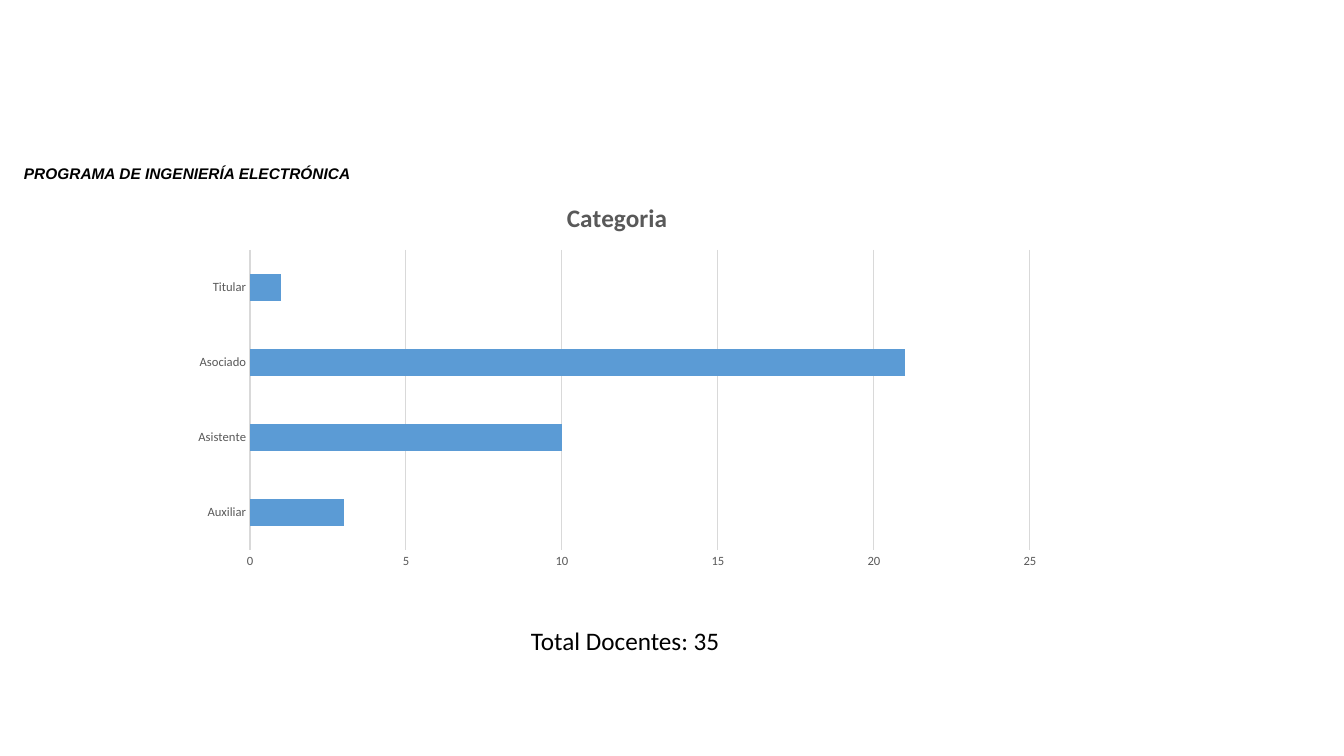
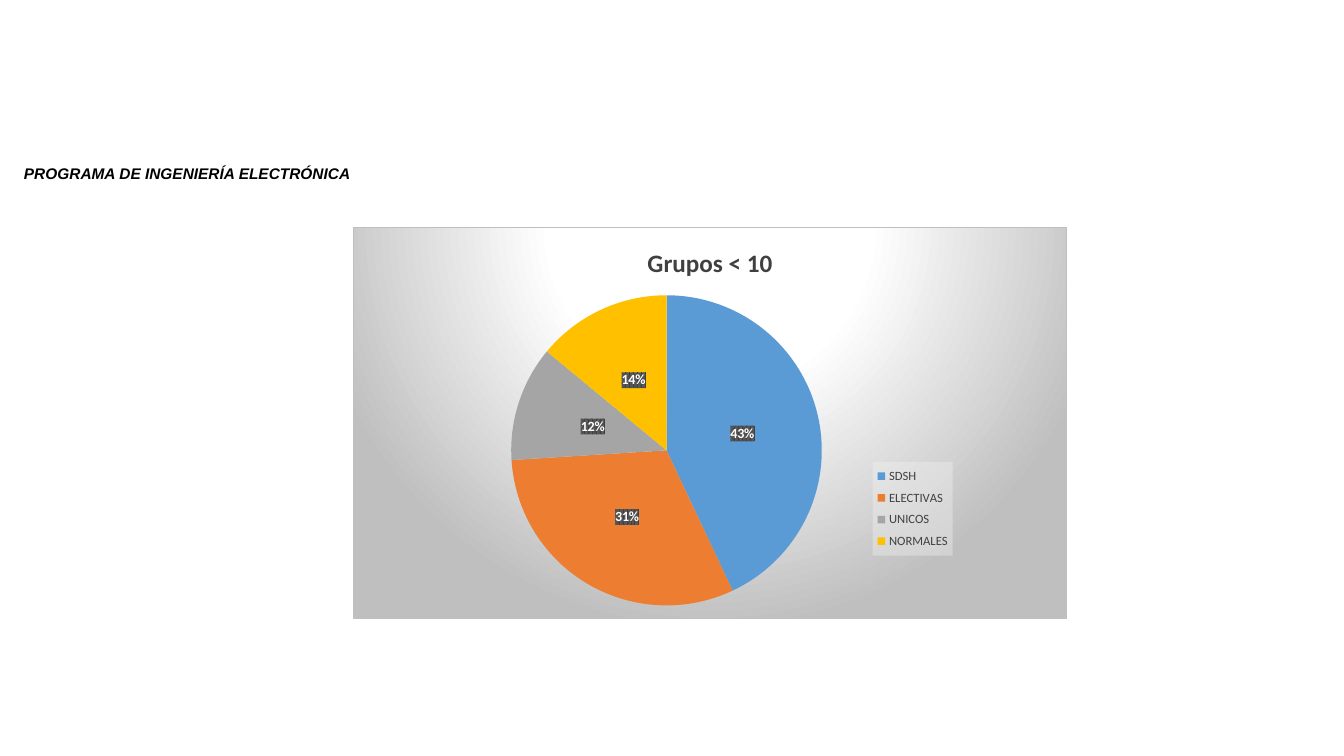
from lxml import etree
from pptx import Presentation
from pptx import util as u
from pptx.chart.data import CategoryChartData
from pptx.dml.color import RGBColor
from pptx.enum import chart as kinds, shapes, text
from pptx.oxml import parse_xml
from pptx.oxml.ns import nsdecls, qn

PX = 914400 / 100.8
WHITE = RGBColor(0xFF, 0xFF, 0xFF)
BLACK = RGBColor(0, 0, 0)
DARK = RGBColor(0x40, 0x40, 0x40)
GRAY = RGBColor(0x59, 0x59, 0x59)
PALE = RGBColor(0xD9, 0xD9, 0xD9)
EDGE = RGBColor(0xBF, 0xBF, 0xBF)
MIST = RGBColor(0xF2, 0xF2, 0xF2)
BLUE = RGBColor(0x5B, 0x9B, 0xD5)
ORANGE = RGBColor(0xED, 0x7D, 0x31)
SILVER = RGBColor(0xA5, 0xA5, 0xA5)
GOLD = RGBColor(0xFF, 0xC0, 0x00)

HEAD = "PROGRAMA DE INGENIERÍA ELECTRÓNICA"
TOTAL = "Total Docentes: 35"
RANKS = [("Auxiliar", 3), ("Asistente", 10), ("Asociado", 21), ("Titular", 1)]
GROUPS = [("SDSH", 43, BLUE), ("ELECTIVAS", 31, ORANGE),
          ("UNICOS", 12, SILVER), ("NORMALES", 14, GOLD)]

HEAD_BOX = (14, 159, 355, 28)
TOTAL_BOX = (521, 620, 318, 40)
BAR_BOX = (181, 183, 872, 394)
BAR_PLOT = (250, 250, 780, 300)
PIE_BOX = (353, 227, 714, 392)
PIE_PLOT = (511, 295, 311, 311)
KEY_BOX = (873, 462, 80, 94)


def emu(box):
    return [u.Emu(round(n * PX)) for n in box]


def style(font, size, color, name="Calibri", bold=False, italic=False):
    font.size, font.name = u.Pt(size), name
    font.bold, font.italic = bold, italic
    font.color.rgb = color


def write(shape, words, *look, **more):
    run = shape.text_frame.paragraphs[0].add_run()
    run.text = words
    style(run.font, *look, **more)


def paint(fill, line=""):
    return parse_xml(f'<c:spPr {nsdecls("c", "a")}>{fill}{line}</c:spPr>')


def tint(color, extra=""):
    return f'<a:srgbClr val="{color}">{extra}</a:srgbClr>'


def place(part, box, frame, at, inner=False):
    for old in part.findall(qn("c:layout")):
        part.remove(old)
    root = parse_xml(f'<c:layout {nsdecls("c")}><c:manualLayout/></c:layout>')
    rule = root[0]
    rows = [("layoutTarget", "inner")] if inner else []
    rows += [("xMode", "edge"), ("yMode", "edge")]
    rows += [("x", (box[0] - frame[0]) / frame[2]),
             ("y", (box[1] - frame[1]) / frame[3]),
             ("w", box[2] / frame[2]), ("h", box[3] / frame[3])]
    for tag, val in rows:
        etree.SubElement(rule, qn("c:" + tag)).set("val", str(val))
    part.insert(at, root)


def add_head(slide):
    bar = slide.shapes.add_shape(shapes.MSO_SHAPE.RECTANGLE, *emu(HEAD_BOX))
    bar.shadow.inherit = False
    bar.fill.solid()
    bar.fill.fore_color.rgb = WHITE
    bar.line.fill.background()
    frame = bar.text_frame
    frame.word_wrap = True
    frame.vertical_anchor = text.MSO_ANCHOR.MIDDLE
    frame.paragraphs[0].alignment = text.PP_ALIGN.LEFT
    write(bar, HEAD, 11, BLACK, "Arial", bold=True, italic=True)


def add_graph(slide, kind, rows, title, color, box, plot):
    data = CategoryChartData()
    data.categories = [row[0] for row in rows]
    data.add_series("Series 1", [row[1] for row in rows])
    graph = slide.shapes.add_chart(kind, *emu(box), data).chart
    style(graph.font, 10, BLACK)
    graph.has_title = True
    write(graph.chart_title, title, 18, color, bold=True)
    graph.has_legend = False
    place(graph.element.find(".//" + qn("c:plotArea")), plot, box, 0, True)
    return graph


def add_bars(slide):
    graph = add_graph(slide, kinds.XL_CHART_TYPE.BAR_CLUSTERED, RANKS,
                      "Categoria", GRAY, BAR_BOX, BAR_PLOT)
    plot = graph.plots[0]
    plot.gap_width, plot.vary_by_categories = 182, False
    fill = plot.series[0].format.fill
    fill.solid()
    fill.fore_color.rgb = BLUE
    cats, vals = graph.category_axis, graph.value_axis
    for axis in (cats, vals):
        axis.major_tick_mark = axis.minor_tick_mark = kinds.XL_TICK_MARK.NONE
        style(axis.tick_labels.font, 9, GRAY)
    cats.has_major_gridlines = False
    vals.has_major_gridlines = True
    vals.minimum_scale, vals.maximum_scale, vals.major_unit = 0, 25, 5
    vals.format.line.fill.background()
    for line in (cats.format.line, vals.major_gridlines.format.line):
        line.color.rgb, line.width = PALE, u.Pt(0.75)


def add_pie(slide):
    graph = add_graph(slide, kinds.XL_CHART_TYPE.PIE, GROUPS,
                      "Grupos < 10", DARK, PIE_BOX, PIE_PLOT)
    stops = "".join(f'<a:gs pos="{pos * 1000}">{tint(color)}</a:gs>'
                    for pos, color in [(0, WHITE), (39, WHITE), (100, EDGE)])
    glow = (f'<a:gradFill><a:gsLst>{stops}</a:gsLst><a:path path="circle">'
            '<a:fillToRect l="50000" t="-80000" r="50000" b="180000"/>'
            '</a:path></a:gradFill>')
    rim = f'<a:ln w="9525"><a:solidFill>{tint(EDGE)}</a:solidFill></a:ln>'
    graph.element.find(qn("c:chart")).addnext(paint(glow, rim))

    plot = graph.plots[0]
    plot.vary_by_categories = True
    for i, row in enumerate(GROUPS):
        fill = plot.series[0].points[i].format.fill
        fill.solid()
        fill.fore_color.rgb = row[2]

    plot.has_data_labels = True
    tags = plot.data_labels
    tags.show_value, tags.show_percentage = False, True
    tags.number_format, tags.number_format_is_linked = "0%", False
    tags.position = kinds.XL_LABEL_POSITION.CENTER
    style(tags.font, 10, WHITE, bold=True)
    weave = (f'<a:pattFill prst="pct75"><a:fgClr>{tint(DARK)}</a:fgClr>'
             f'<a:bgClr>{tint(GRAY)}</a:bgClr></a:pattFill>')
    root = graph.element.find(".//" + qn("c:dLbls"))
    root.find(qn("c:txPr")).addprevious(paint(weave))

    graph.has_legend = True
    key = graph.legend
    key.position = kinds.XL_LEGEND_POSITION.RIGHT
    key.include_in_layout = False
    style(key.font, 9, DARK)
    root = graph.element.find(".//" + qn("c:legend"))
    place(root, KEY_BOX, PIE_BOX, 1)
    veil = tint(MIST, '<a:alpha val="39000"/>')
    root.find(qn("c:txPr")).addprevious(
        paint(f'<a:solidFill>{veil}</a:solidFill>'))


def add_total(slide):
    note = slide.shapes.add_textbox(*emu(TOTAL_BOX))
    note.text_frame.word_wrap = True
    write(note, TOTAL, 18, BLACK)


def main():
    deck = Presentation()
    deck.slide_width, deck.slide_height = emu((1344, 756))
    for parts in [(add_total, add_bars, add_head), (add_head, add_pie)]:
        slide = deck.slides.add_slide(deck.slide_layouts[6])
        for add in parts:
            add(slide)
    deck.save("out.pptx")


if __name__ == "__main__":
    main()
